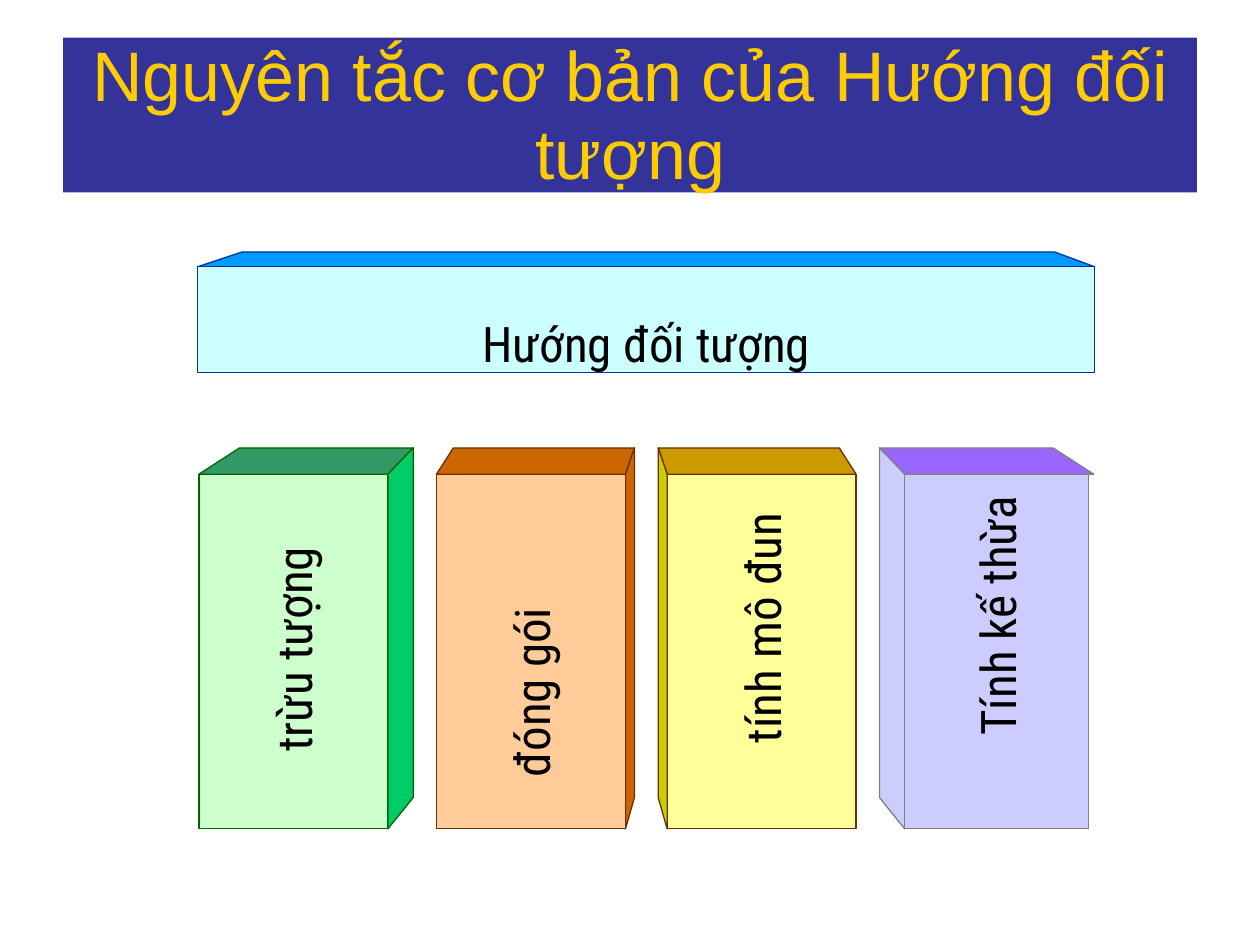
from pptx import Presentation
from pptx.dml.color import RGBColor
from pptx.enum.shapes import MSO_SHAPE
from pptx.enum.text import MSO_ANCHOR, MSO_AUTO_SIZE, PP_ALIGN
from pptx.util import Cm, Pt

RECT = MSO_SHAPE.RECTANGLE
TOP, MIDDLE = MSO_ANCHOR.TOP, MSO_ANCHOR.MIDDLE
LEFT, CENTER = PP_ALIGN.LEFT, PP_ALIGN.CENTER
NO_FIT = MSO_AUTO_SIZE.NONE

COLORS = {
    "navy": "333399", "gold": "FFCC00", "black": "000000",
    "sky": "0099FF", "ice": "CCFFFF", "blue": "003399",
    "mint": "CCFFCC", "sea": "339966", "leaf": "00CC66", "pine": "006600",
    "peach": "FFCC99", "rust": "CC6600", "brown": "663300",
    "cream": "FFFF99", "ochre": "CC9900", "olive": "CCCC00",
    "lilac": "CCCCFF", "plum": "9966FF", "gray": "808080",
}

# Pillar heights in cm: rear edge, front edge
REAR_TOP, REAR_END = 9.03, 16.08
FRONT_TOP, FRONT_END = 9.56, 16.71

# Text, text indent, front left, front right, rear left, rear right,
# lid overhang, side, then colours of front, lid, side and line
PILLARS = [
    ("trừu tượng", 1.55, 4.01, 7.82, 4.83, 8.33, 0, "right",
     "mint", "sea", "leaf", "pine"),
    ("đóng gói", 1.04, 8.8, 12.61, 9.14, 12.79, 0, "right",
     "peach", "rust", "rust", "brown"),
    ("tính mô đun", 1.73, 13.45, 17.26, 13.27, 16.92, 0, "left",
     "cream", "ochre", "olive", "brown"),
    ("Tính kế thừa", 1.88, 18.24, 21.95, 17.73, 21.23, 0.1, "left",
     "lilac", "plum", "lilac", "gray"),
]


def rgb(name):
    return RGBColor.from_string(COLORS[name])


def paint(shape, fill, line):
    shape.shadow.inherit = False
    shape.fill.solid()
    shape.fill.fore_color.rgb = rgb(fill)
    shape.line.color.rgb = rgb(line)
    shape.line.width = Pt(0.75)


def write(shape, text, font, size, color, align, anchor):
    frame = shape.text_frame
    frame.text = text
    frame.word_wrap = True
    frame.auto_size = NO_FIT
    frame.vertical_anchor = anchor
    frame.margin_left = frame.margin_right = 0
    frame.margin_top = frame.margin_bottom = 0
    para = frame.paragraphs[0]
    para.alignment = align
    run = para.runs[0].font
    run.name, run.size, run.color.rgb = font, Pt(size), rgb(color)
    return frame


def add_face(slide, points, fill, line):
    start, *rest = [(Cm(x), Cm(y)) for x, y in points]
    outline = slide.shapes.build_freeform(*start)
    outline.add_line_segments(rest, close=True)
    paint(outline.convert_to_shape(), fill, line)


def add_front(slide, left, top, right, end, text, fill, line, align, anchor):
    box = slide.shapes.add_shape(
        RECT, Cm(left), Cm(top), Cm(right - left), Cm(end - top))
    paint(box, fill, line)
    return write(box, text, "Roboto Condensed", 28, "black", align, anchor)


def add_title(slide, text):
    title = slide.shapes.title
    title.left, title.top = Cm(1.27), Cm(0.76)
    title.width, title.height = Cm(22.86), Cm(3.12)
    title.fill.solid()
    title.fill.fore_color.rgb = rgb("navy")
    frame = write(title, text, "Arial", 40, "gold", CENTER, TOP)
    frame.paragraphs[0].line_spacing = Pt(44.4)


def add_beam(slide, text):
    left, right, rear, top, end = 3.98, 22.07, 5.08, 5.38, 7.51
    add_face(slide, [(4.88, rear), (21.26, rear), (right, top), (left, top)],
             "sky", "blue")
    frame = add_front(slide, left, top, right, end, text,
                      "ice", "blue", CENTER, TOP)
    frame.margin_top = Cm(0.94)


def add_pillar(slide, text, indent, left, right, rear_left, rear_right,
               over, side, front, lid, flank, line):
    lid_part = ([(rear_left, REAR_TOP), (rear_right, REAR_TOP),
                 (right + over, FRONT_TOP), (left, FRONT_TOP)], lid)
    near, far = (right, rear_right) if side == "right" else (left, rear_left)
    side_part = ([(far, REAR_TOP), (near, FRONT_TOP),
                  (near, FRONT_END), (far, REAR_END)], flank)
    for points, fill in (lid_part, side_part):
        add_face(slide, points, fill, line)
    frame = add_front(slide, left, FRONT_TOP, right, FRONT_END, text,
                      front, line, LEFT, MIDDLE)
    # Turn the text upwards and indent it from the foot of the pillar
    para = frame.paragraphs[0]
    frame._txBody.bodyPr.set("vert", "vert270")
    para._p.get_or_add_pPr().set("marL", str(Cm(indent)))


def main():
    deck = Presentation()
    deck.slide_width, deck.slide_height = Cm(25.4), Cm(19.05)
    slide = deck.slides.add_slide(deck.slide_layouts[5])
    add_title(slide, "Nguyên tắc cơ bản của Hướng đối tượng")
    add_beam(slide, "Hướng đối tượng")
    for pillar in PILLARS:
        add_pillar(slide, *pillar)
    deck.save("out.pptx")


if __name__ == "__main__":
    main()
